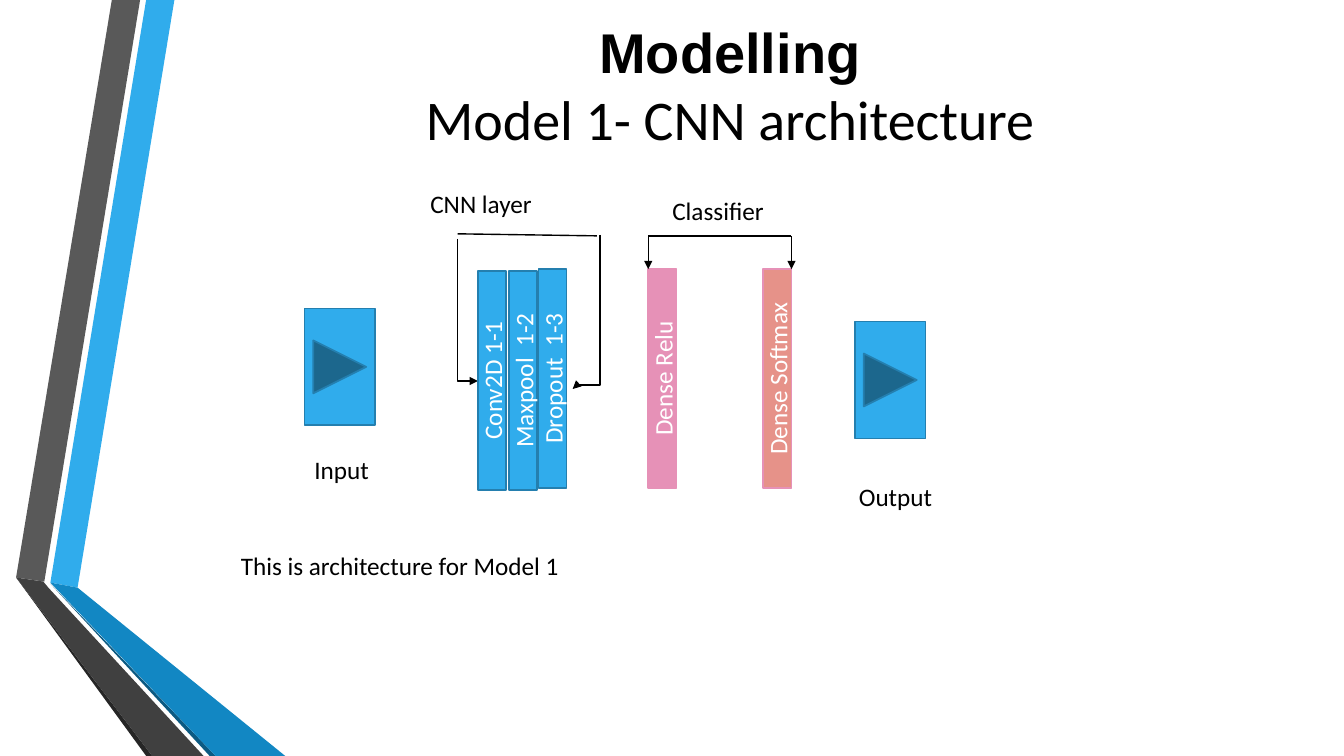
from lxml.etree import SubElement
from pptx import Presentation
from pptx.dml.color import RGBColor
from pptx.enum.shapes import MSO_CONNECTOR, MSO_SHAPE
from pptx.enum.text import MSO_ANCHOR, MSO_AUTO_SIZE, PP_ALIGN
from pptx.oxml.ns import qn
from pptx.util import Pt

PX = 9144
BLACK = RGBColor(0x00, 0x00, 0x00)
WHITE = RGBColor(0xFF, 0xFF, 0xFF)
BLUE = RGBColor(0x30, 0xAC, 0xEC)
BLUE_EDGE = RGBColor(0x24, 0x7F, 0xAF)
BLUE_FOLD = RGBColor(0x12, 0x87, 0xC3)
BLUE_SHADE = RGBColor(0x0C, 0x5A, 0x82)
GREY = RGBColor(0x59, 0x59, 0x59)
GREY_FOLD = RGBColor(0x40, 0x40, 0x40)
GREY_SHADE = RGBColor(0x26, 0x26, 0x26)
PINK = RGBColor(0xE6, 0x91, 0xB7)
SALMON = RGBColor(0xE6, 0x92, 0x89)

RIBBONS = [
    (BLUE, [(50, 578), (77, 583), (173, 0), (145, 0)]),
    (GREY, [(139, 0), (111, 0), (16, 573), (44, 577)]),
    (GREY_SHADE, [(16, 573), (145, 750), (151, 750)]),
    (BLUE_SHADE, [(50, 579), (208, 750), (214, 750)]),
    (BLUE_FOLD, [(50, 578), (214, 750), (283, 750), (77, 583)]),
    (GREY_FOLD, [(202, 750), (48, 583), (43, 577), (16, 573), (151, 750)]),
]


def emu(*lengths):
    """Turn px lengths into EMU."""
    return [round(length * PX) for length in lengths]


def style_font(font, size, color, name="Calibri"):
    """Set size, colour and face of a font."""
    font.size, font.name = Pt(size), name
    font.color.rgb = color


def add_ribbons(page, left, top):
    """Draw the folded ribbons from the given corner."""
    for color, points in RIBBONS:
        points = [(left + x, top + y) for x, y in points]
        builder = page.shapes.build_freeform(*points[0], scale=PX)
        builder.add_line_segments(points[1:], close=True)
        ribbon = builder.convert_to_shape()
        ribbon.shadow.inherit = False
        ribbon.fill.solid()
        ribbon.fill.fore_color.rgb = color
        ribbon.line.fill.background()


def add_heading(page, left, top, width, height):
    """Place the two-line title in its box."""
    title = page.shapes.title
    title.left, title.top, title.width, title.height = emu(left, top, width, height)
    frame = title.text_frame
    frame.auto_size = MSO_AUTO_SIZE.NONE
    frame.vertical_anchor = MSO_ANCHOR.MIDDLE
    para = frame.paragraphs[0]
    para.alignment = PP_ALIGN.CENTER
    topic = para.add_run()
    topic.text = "Modelling"
    style_font(topic.font, 40, BLACK, "Arial")
    topic.font.bold = True
    para.add_line_break()
    subject = para.add_run()
    subject.text = "Model 1- CNN architecture"
    style_font(subject.font, 40, BLACK)
    subject.font.bold = False


def add_label(page, text, left, top, width):
    """Write one line of black text."""
    box = page.shapes.add_textbox(*emu(left, top, width, 40))
    frame = box.text_frame
    frame.word_wrap = True
    frame.auto_size = MSO_AUTO_SIZE.SHAPE_TO_FIT_TEXT
    para = frame.paragraphs[0]
    para.text = text
    style_font(para.font, 18, BLACK)


def add_block(page, kind, fill, edge, left, top, width, height):
    """Draw a filled preset shape with a thin edge."""
    block = page.shapes.add_shape(kind, *emu(left, top, width, height))
    block.shadow.inherit = False
    block.fill.solid()
    block.fill.fore_color.rgb = fill
    block.line.color.rgb = edge
    block.line.width = Pt(1.25)
    return block


def add_layer(page, text, left, top, fill=BLUE, edge=BLUE_EDGE):
    """Draw a network layer as a bar with upward text."""
    bar = add_block(page, MSO_SHAPE.RECTANGLE, fill, edge, left, top, 28, 217)
    frame = bar.text_frame
    frame.vertical_anchor = MSO_ANCHOR.MIDDLE
    frame.word_wrap = True
    frame._txBody.bodyPr.set("vert", "vert270")
    para = frame.paragraphs[0]
    para.text = text
    para.alignment = PP_ALIGN.CENTER
    style_font(para.font, 18, WHITE)


def add_line(page, start, end, arrow=False, kind=MSO_CONNECTOR.STRAIGHT):
    """Draw a black connector, with an arrowhead at its end if asked."""
    line = page.shapes.add_connector(kind, *emu(*start, *end))
    line.line.color.rgb = BLACK
    line.line.width = Pt(1)
    properties = line._element.spPr
    if arrow:
        SubElement(properties.find(qn("a:ln")), qn("a:tailEnd"), type="triangle")
    SubElement(properties, qn("a:effectLst"))
    return line


def add_elbow(page, start, end, preset, adjust=None):
    """Draw a bent arrow that leaves its start downwards."""
    (x1, y1), (x2, y2) = start, end
    middle_x, middle_y = (x1 + x2) / 2, (y1 + y2) / 2
    run, rise = (y2 - y1) / 2, abs(x2 - x1) / 2
    elbow = add_line(page, (middle_x - run, middle_y - rise),
                     (middle_x + run, middle_y + rise), True, MSO_CONNECTOR.ELBOW)
    properties = elbow._element.spPr
    frame = properties.find(qn("a:xfrm"))
    frame.set("rot", str((270 if x2 > x1 else 90) * 60000))
    if x2 > x1:
        frame.set("flipH", "1")
    geometry = properties.find(qn("a:prstGeom"))
    geometry.set("prst", preset)
    if adjust is not None:
        guides = geometry.find(qn("a:avLst"))
        SubElement(guides, qn("a:gd"), name="adj1", fmla=f"val {adjust}")


def add_cnn_group(page, left, top):
    """Draw the three convolution layers under their bracket."""
    add_label(page, "CNN layer", left - 37, top - 50, 134)
    add_line(page, (left, top), (left + 138, top + 2))
    add_elbow(page, (left, top + 5), (left + 20, top + 146), "bentConnector2")
    add_elbow(page, (left + 141, top + 1), (left + 114, top + 154),
              "bentConnector3", 97400)
    add_layer(page, "Conv2D 1-1", left + 20, top + 37)
    add_layer(page, "Maxpool  1-2", left + 51, top + 37)
    add_layer(page, "Dropout  1-3", left + 80, top + 35)


def add_classifier_group(page, left, top, width):
    """Draw the two dense layers under their bracket."""
    right = left + width
    add_label(page, "Classifier", left + 14, top - 45, 134)
    add_layer(page, "Dense Softmax", right - 28, top + 33, SALMON, PINK)
    add_layer(page, "Dense Relu", left, top + 33, PINK, PINK)
    add_line(page, (left, top), (right, top))
    for x in (left, right):
        add_line(page, (x, top), (x, top + 33), arrow=True)


def add_terminal(page, text, left, top, text_left, text_top):
    """Draw an input or output button with its caption."""
    add_block(page, MSO_SHAPE.ACTION_BUTTON_FORWARD_OR_NEXT, BLUE, BLUE_EDGE,
              left, top, 70, 116)
    add_label(page, text, text_left, text_top, 123)


def main():
    """Build and save the slide."""
    deck = Presentation()
    deck.slide_width, deck.slide_height = emu(1333, 750)
    page = deck.slides.add_slide(deck.slide_layouts[5])
    add_ribbons(page, 0, 0)
    add_heading(page, 176, -12, 1096, 192)
    add_terminal(page, "Input", 302, 306, 302, 446)
    add_cnn_group(page, 454, 232)
    add_classifier_group(page, 643, 234, 142)
    add_terminal(page, "Output", 848, 319, 842, 473)
    add_label(page, "This is architecture for Model 1", 229, 541, 1003)
    deck.save("out.pptx")


if __name__ == "__main__":
    main()
